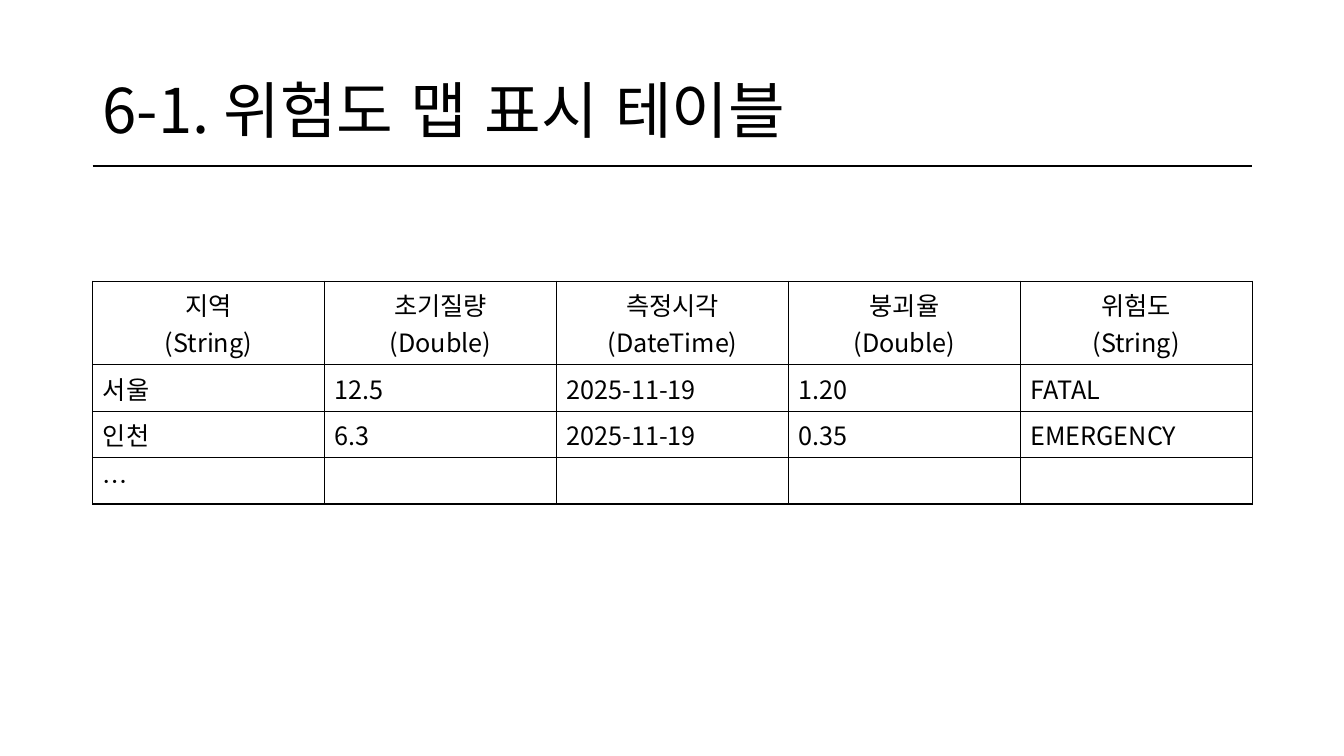
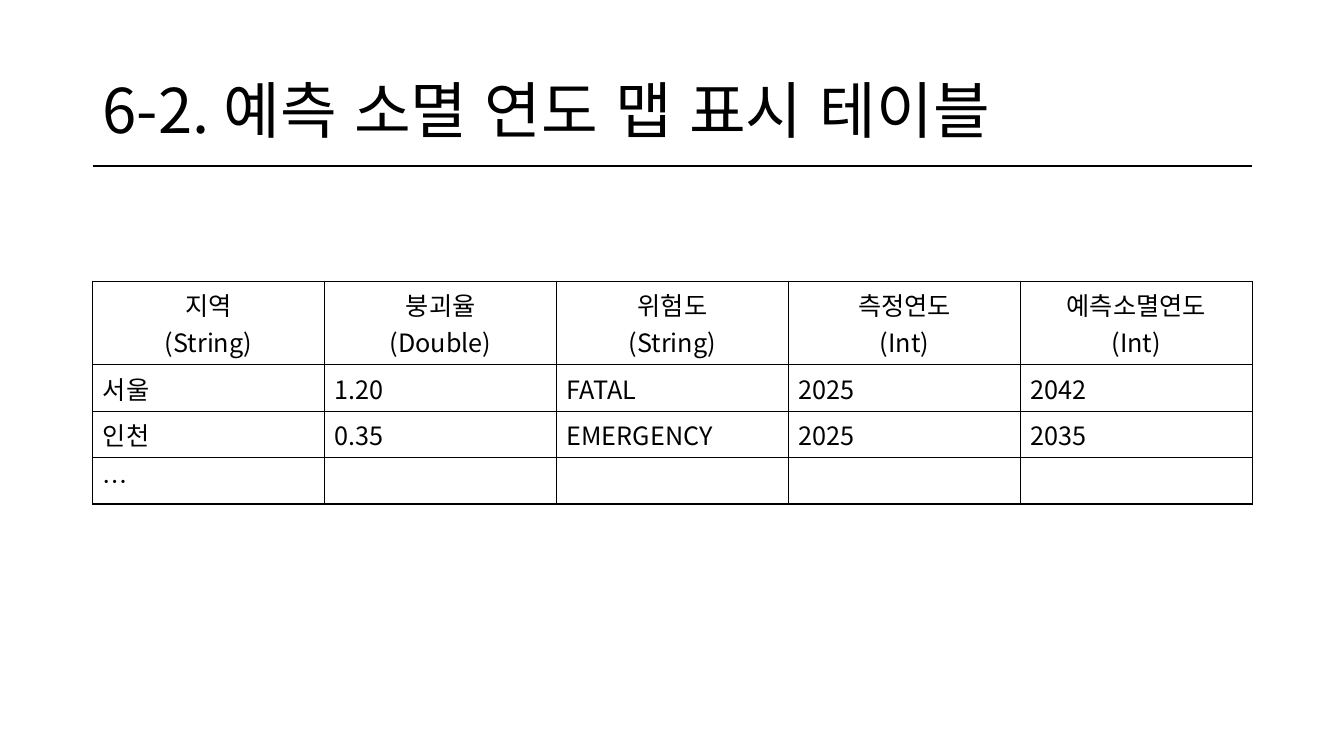
from lxml import etree
from pptx import Presentation
from pptx.dml.color import RGBColor
from pptx.enum.lang import MSO_LANGUAGE_ID
from pptx.enum.shapes import MSO_CONNECTOR
from pptx.enum.text import MSO_ANCHOR, PP_ALIGN
from pptx.oxml.ns import qn
from pptx.util import Inches, Pt

STRAIGHT = MSO_CONNECTOR.STRAIGHT
MIDDLE = MSO_ANCHOR.MIDDLE
LEFT, CENTER = PP_ALIGN.LEFT, PP_ALIGN.CENTER
KOREAN = MSO_LANGUAGE_ID.KOREAN

# Shared style
FONT = "Noto Sans CJK KR"
BLACK, WHITE = "000000", "FFFFFF"
MARGIN, CONTENT_WIDTH = 0.92, 11.5
TITLE_TOP, TITLE_HEIGHT = 0.4, 1.45
RULE_TOP = 1.65
TABLE_TOP, HEADER_HEIGHT, ROW_HEIGHT = 2.79, 0.83, 0.46
TITLE_FONT = {"size": Pt(44), "name": FONT, "language_id": KOREAN}
CELL_FONT = {"size": Pt(18), "name": FONT, "language_id": KOREAN}
TITLE_FRAME = {"word_wrap": True, "vertical_anchor": MIDDLE}

# Slide content: title and table rows
SLIDES = [
    ("6-1. 위험도 맵 표시 테이블", [
        ["지역\n(String)", "초기질량\n(Double)", "측정시각\n(DateTime)",
         "붕괴율\n(Double)", "위험도\n(String)"],
        ["서울", "12.5", "2025-11-19", "1.20", "FATAL"],
        ["인천", "6.3", "2025-11-19", "0.35", "EMERGENCY"],
        ["…", "", "", "", ""],
    ]),
    ("6-2. 예측 소멸 연도 맵 표시 테이블", [
        ["지역\n(String)", "붕괴율\n(Double)", "위험도\n(String)",
         "측정연도\n(Int)", "예측소멸연도\n(Int)"],
        ["서울", "1.20", "FATAL", "2025", "2042"],
        ["인천", "0.35", "EMERGENCY", "2025", "2035"],
        ["…", "", "", "", ""],
    ]),
]


def color(value):
    return RGBColor.from_string(value)


def apply(target, values):
    for name, value in values.items():
        setattr(target, name, value)


def format_text(frame, font_values, para_values):
    for para in frame.paragraphs:
        apply(para, para_values)
        for span in para.runs:
            apply(span.font, font_values)
            span.font.color.rgb = color(BLACK)
            # Korean glyphs take the East Asian typeface
            properties = span._r.get_or_add_rPr()
            etree.SubElement(properties, qn("a:ea"), typeface=FONT)


def add_title(page, text):
    box = page.shapes.add_textbox(Inches(MARGIN), Inches(TITLE_TOP),
                                  Inches(CONTENT_WIDTH), Inches(TITLE_HEIGHT))
    frame = box.text_frame
    apply(frame, TITLE_FRAME)
    frame.text = text
    format_text(frame, TITLE_FONT, {"line_spacing": 0.9})


def add_rule(page):
    rule = page.shapes.add_connector(
        STRAIGHT, Inches(MARGIN), Inches(RULE_TOP),
        Inches(MARGIN + CONTENT_WIDTH), Inches(RULE_TOP))
    rule.line.width = Pt(1.5)
    rule.line.color.rgb = color(BLACK)
    etree.SubElement(rule._element.spPr, qn("a:effectLst"))


def add_borders(cell):
    properties = cell._tc.get_or_add_tcPr()
    for side in ("lnL", "lnR", "lnT", "lnB"):
        line = etree.SubElement(properties, qn(f"a:{side}"), w=str(Pt(1)))
        fill = etree.SubElement(line, qn("a:solidFill"))
        etree.SubElement(fill, qn("a:srgbClr"), val=BLACK)


def add_data_table(page, rows):
    heights = [HEADER_HEIGHT] + [ROW_HEIGHT] * (len(rows) - 1)
    table = page.shapes.add_table(
        len(rows), len(rows[0]), Inches(MARGIN), Inches(TABLE_TOP),
        Inches(CONTENT_WIDTH), Inches(sum(heights))).table
    apply(table, {"first_row": False, "horz_banding": False})
    for row_index, row in enumerate(rows):
        # The header holds two lines: name and type
        table.rows[row_index].height = Inches(heights[row_index])
        alignment = LEFT if row_index else CENTER
        for column_index, text in enumerate(row):
            cell = table.cell(row_index, column_index)
            apply(cell, {"text": text, "vertical_anchor": MIDDLE})
            format_text(cell.text_frame, CELL_FONT, {"alignment": alignment})
            add_borders(cell)
            cell.fill.solid()
            cell.fill.fore_color.rgb = color(WHITE)


def main():
    deck = Presentation()
    apply(deck, {"slide_width": Inches(13.33), "slide_height": Inches(7.5)})
    for title, rows in SLIDES:
        page = deck.slides.add_slide(deck.slide_layouts[6])
        add_title(page, title)
        add_data_table(page, rows)
        add_rule(page)
    deck.save("out.pptx")


if __name__ == "__main__":
    main()
